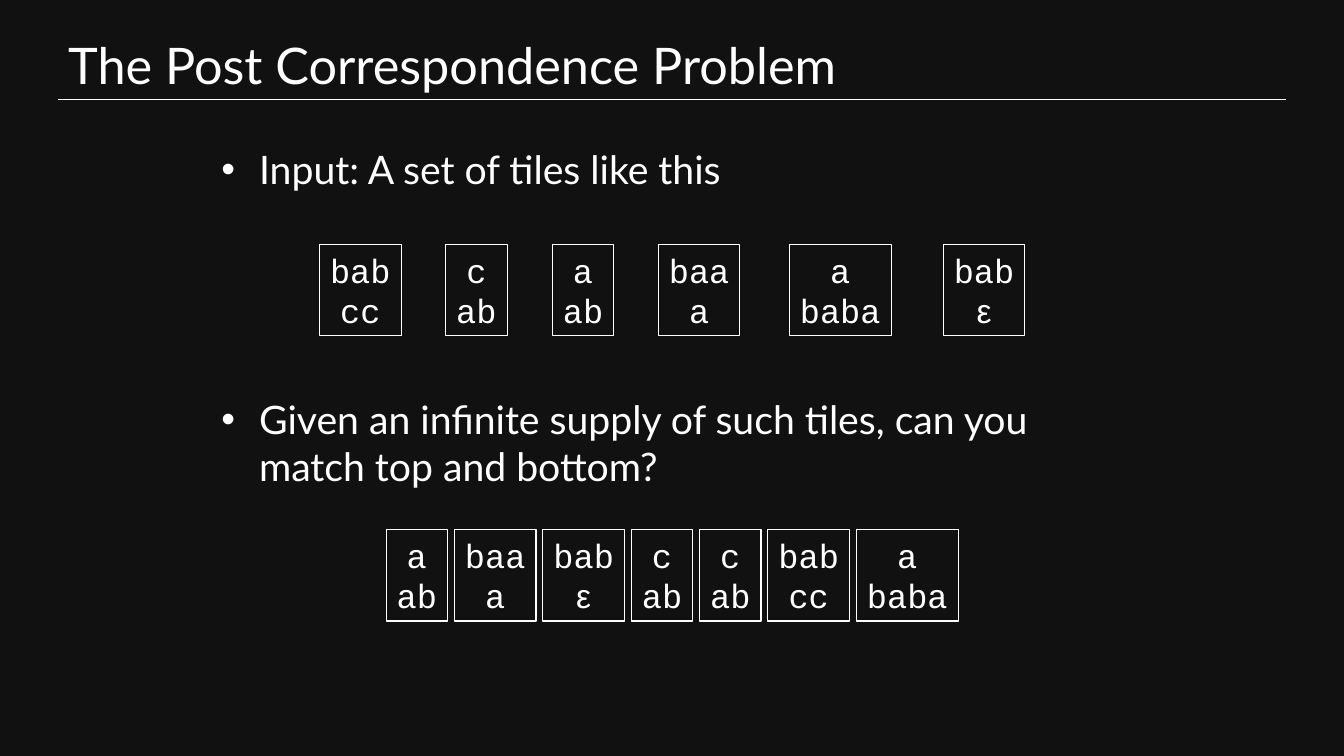
"""Build the slide that introduces the Post Correspondence Problem."""
from lxml import etree
from pptx import Presentation
from pptx import util as u
from pptx.dml.color import RGBColor
from pptx.enum import shapes, text
from pptx.oxml.ns import qn

NIGHT = RGBColor(0x11, 0x11, 0x11)
WHITE = RGBColor(0xFF, 0xFF, 0xFF)


class Board:
    """Hold the style and the current slide, and draw its elements."""

    prose, code, greek = "Lato", "Courier New", "Arial"
    hairline = u.Pt(0.75)
    tile_height, tile_padding, letter_width = 2.31, 0.53, 0.51

    def __init__(self, slide):
        """Take the slide and paint its background."""
        self.slide = slide
        slide.background.fill.solid()
        slide.background.fill.fore_color.rgb = NIGHT

    def style(self, paragraph, face, size):
        """Set the font of a whole paragraph."""
        paragraph.font.name = face
        paragraph.font.size = u.Pt(size)
        paragraph.font.color.rgb = WHITE

    def rule(self, left, right, top):
        """Draw a thin horizontal line."""
        line = self.slide.shapes.add_connector(
            shapes.MSO_CONNECTOR.STRAIGHT, u.Cm(left), u.Cm(top), u.Cm(right), u.Cm(top))
        line.line.color.rgb = WHITE
        line.line.width = self.hairline
        etree.SubElement(line._element.spPr, qn("a:effectLst"))

    def frame(self, left, top, width, height):
        """Add a wrapping text box and return its text frame."""
        box = self.slide.shapes.add_textbox(u.Cm(left), u.Cm(top), u.Cm(width), u.Cm(height))
        box.text_frame.word_wrap = True
        return box.text_frame

    def title(self, wording, left, top, width, height):
        """Write the heading."""
        heading = self.frame(left, top, width, height)
        heading.vertical_anchor = text.MSO_ANCHOR.MIDDLE
        heading.text = wording
        self.style(heading.paragraphs[0], self.prose, 36)

    def bullets(self, points, gap, left, top, width, height):
        """Write bulleted points with a gap between them."""
        body = self.frame(left, top, width, height)
        body.text = "\n".join(points)
        for index, point in enumerate(body.paragraphs):
            point.space_before = u.Pt(gap if index else 0)
            properties = point._p.get_or_add_pPr()
            properties.set("marL", str(u.Cm(0.95)))
            properties.set("indent", str(-u.Cm(0.95)))
            etree.SubElement(properties, qn("a:buFont"), typeface="Arial")
            etree.SubElement(properties, qn("a:buChar"), char="•")
            self.style(point, self.prose, 28)

    def tile_width(self, words):
        """Return the width that fits the longer word."""
        return self.tile_padding + self.letter_width * max(map(len, words))

    def tile(self, words, left, top):
        """Draw one tile with its upper and lower word."""
        tile = self.slide.shapes.add_shape(
            shapes.MSO_SHAPE.RECTANGLE, u.Cm(left), u.Cm(top),
            u.Cm(self.tile_width(words)), u.Cm(self.tile_height))
        tile.shadow.inherit = False
        tile.fill.background()
        tile.line.color.rgb = WHITE
        tile.line.width = self.hairline
        tile.text_frame.word_wrap = False
        tile.text_frame.text = "\n".join(words)
        for word, paragraph in zip(words, tile.text_frame.paragraphs):
            paragraph.alignment = text.PP_ALIGN.CENTER
            self.style(paragraph, self.greek if word == "ε" else self.code, 24)

    def chain(self, tiles, left, top, gap):
        """Lay tiles side by side with equal gaps."""
        for words in tiles:
            self.tile(words, left, top)
            left += self.tile_width(words) + gap


BAB_CC, C_AB, A_AB = ("bab", "cc"), ("c", "ab"), ("a", "ab")
BAA_A, A_BABA, BAB_EMPTY = ("baa", "a"), ("a", "baba"), ("bab", "ε")
supply = {BAB_CC: 8.05, C_AB: 11.23, A_AB: 13.92,
          BAA_A: 16.59, A_BABA: 19.89, BAB_EMPTY: 23.77}
solution = [A_AB, BAA_A, BAB_EMPTY, C_AB, C_AB, BAB_CC, A_BABA]

deck = Presentation()
deck.slide_width, deck.slide_height = u.Cm(33.87), u.Cm(19.05)
board = Board(deck.slides.add_slide(deck.slide_layouts[6]))

board.rule(1.47, 32.41, 2.51)
board.title("The Post Correspondence Problem", 1.47, 0.71, 30.94, 1.83)
board.bullets(
    ["Input: A set of tiles like this",
     "Given an infinite supply of such tiles, can you match top and bottom?"],
    145, 5.33, 3.53, 23.22, 9.4)
for words, left in supply.items():
    board.tile(words, left, 6.15)
board.chain(solution, 9.73, 13.34, 0.17)

deck.save("out.pptx")
